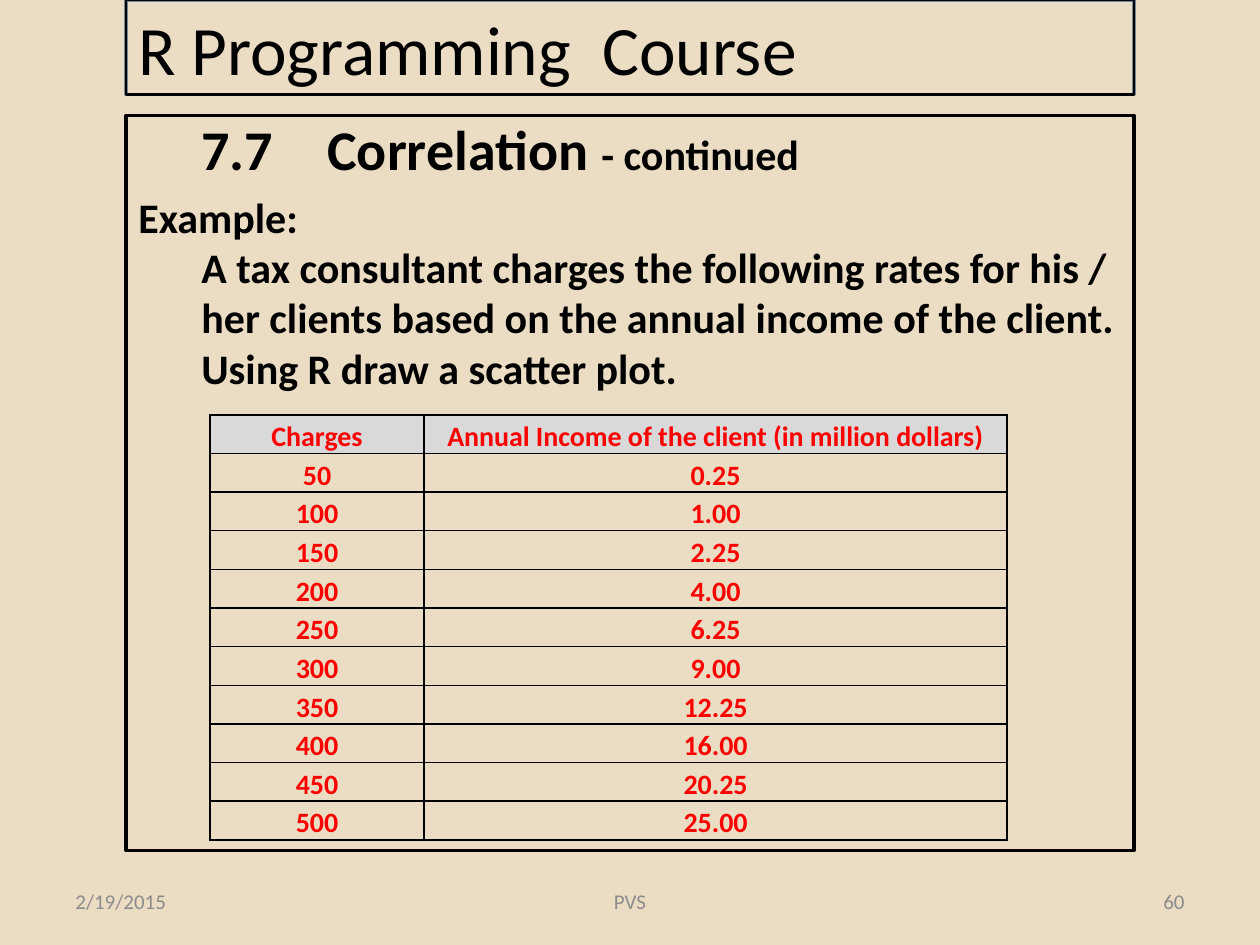
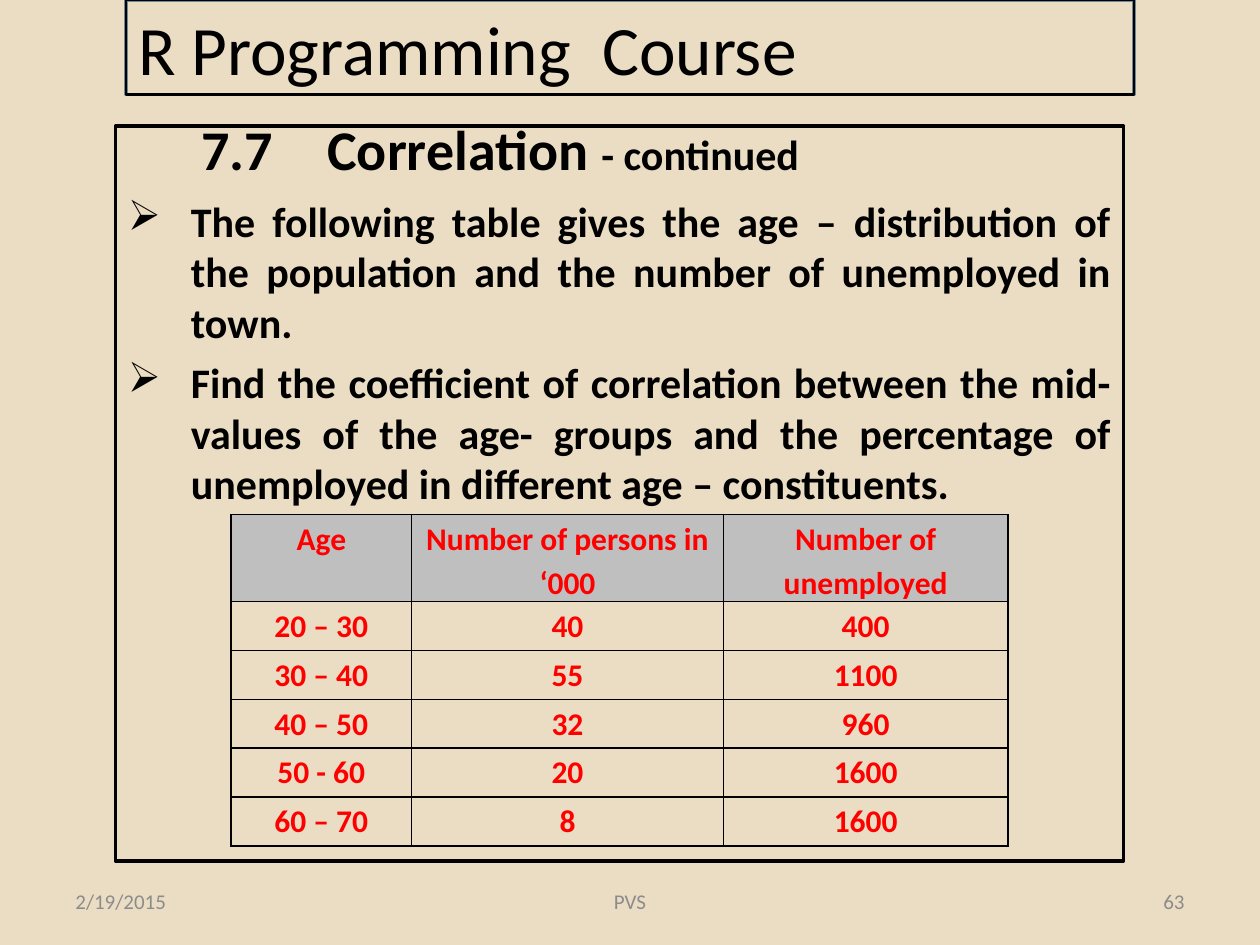
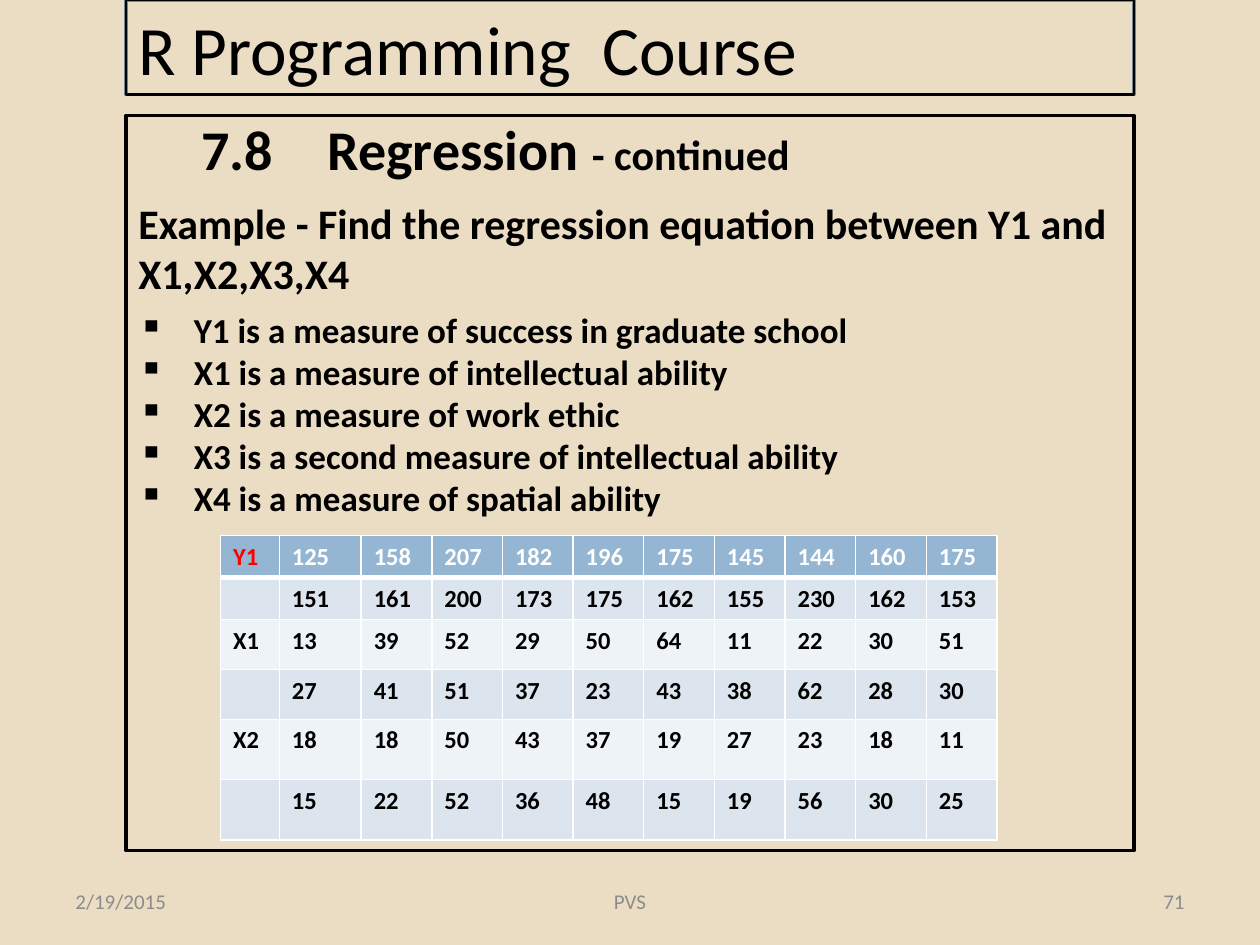
from dataclasses import dataclass, replace

from lxml import etree
from pptx import Presentation
from pptx import util as u
from pptx.dml.color import RGBColor
from pptx.enum import shapes, text
from pptx.oxml.ns import qn

COLUMNS, ROWS = 120, 90
CELL = u.Inches(10) / COLUMNS
ALIGN = text.PP_ALIGN
MIDDLE = text.MSO_ANCHOR.MIDDLE


@dataclass(frozen=True)
class Theme:
    """Colours and type sizes shared by all slides."""

    font: str = "Calibri"
    paper: str = "EBDDC3"
    ink: str = "000000"
    edge: str = "6D879B"
    muted: str = "8C8C8C"
    accent: str = "FF0000"
    white: str = "FFFFFF"
    light_gray: str = "D9D9D9"
    mid_gray: str = "BFBFBF"
    blue: str = "94B6D2"
    bands: tuple = ("DCE5EE", "EEF3F7")
    title: float = 39.6
    heading: int = 32
    body: int = 24
    points: int = 20
    wide_table: int = 18
    long_table: int = 16
    dense_table: int = 14
    footer: int = 12


THEME = Theme()


@dataclass(frozen=True)
class Box:
    """A rectangle in grid columns and rows."""

    left: float
    top: float
    width: float
    height: float

    def emu(self):
        """Return the rectangle in slide units."""
        return [grid(n) for n in (self.left, self.top, self.width, self.height)]

    def inner(self, left, top, width, height):
        """Return a box placed relative to this one."""
        return Box(self.left + left, self.top + top, width, height)


SLIDE = Box(0, 0, COLUMNS, ROWS)
BANNER = SLIDE.inner(12, 0, 96, 9)
PANEL = SLIDE.inner(12, 11, 96, 70)
HEADING = SLIDE.inner(12, 10.3, 95, 7.7)
FOOTER = SLIDE.inner(6, 83.4, 108, 4.8)


@dataclass(frozen=True)
class Para:
    """One paragraph and its format."""

    runs: tuple
    align: ALIGN = ALIGN.LEFT
    indent: tuple = (0, 0)
    before: float = 0
    after: float = 0
    spacing: float = 1.0
    bullet: str = ""


def grid(count):
    """Turn a count of grid cells into slide units."""
    return u.Emu(round(count * CELL))


def assign(target, **values):
    """Set each format value on the target."""
    for name, value in values.items():
        setattr(target, name, value)


def run(words, size, color=THEME.ink, bold=True):
    """Describe one run of text."""
    return words, size, color, bold


def write(frame, paragraphs):
    """Fill a text frame with paragraphs."""
    for index, para in enumerate(paragraphs):
        line = frame.add_paragraph() if index else frame.paragraphs[0]
        properties = line._p.get_or_add_pPr()
        margin, first = para.indent
        properties.set("marL", str(u.Inches(margin)))
        properties.set("indent", str(u.Inches(first)))
        if para.bullet:
            etree.SubElement(properties, qn("a:buChar"), char=para.bullet)
        assign(line, alignment=para.align, line_spacing=para.spacing,
               space_before=u.Pt(para.before if index else 0),
               space_after=u.Pt(para.after))
        for words, size, color, bold in para.runs:
            if not words:
                etree.SubElement(line._p, qn("a:endParaRPr"), sz=str(size * 100))
                continue
            piece = line.add_run()
            piece.text = words
            assign(piece.font, name=THEME.font, size=u.Pt(size), bold=bold)
            piece.font.color.rgb = RGBColor.from_string(color)


def outline(slide, box, color, weight):
    """Draw an unfilled rectangle."""
    frame = slide.shapes.add_shape(shapes.MSO_SHAPE.RECTANGLE, *box.emu())
    frame.shadow.inherit = False
    frame.fill.background()
    frame.line.color.rgb = RGBColor.from_string(color)
    frame.line.width = u.Pt(weight)
    return frame


def words_in(slide, box, paragraphs, **values):
    """Place a wrapping text box."""
    frame = slide.shapes.add_textbox(*box.emu()).text_frame
    assign(frame, word_wrap=True, **values)
    write(frame, paragraphs)


def growing(slide, box, paragraphs, **values):
    """Place a text box that fits its text."""
    words_in(slide, box, paragraphs,
             auto_size=text.MSO_AUTO_SIZE.SHAPE_TO_FIT_TEXT, **values)


def banner(slide, box):
    """Draw the course title in its double frame."""
    outline(slide, box, THEME.edge, 2)
    frame = outline(slide, box, THEME.ink, 1.5).text_frame
    assign(frame, word_wrap=True, vertical_anchor=MIDDLE)
    write(frame, [Para((run("R Programming  Course", THEME.title, bold=False),))])


def footer(slide, box, number):
    """Place date, author and slide number."""
    labels = [("2/19/2015", 0, 28, ALIGN.LEFT), ("PVS", 35, 38, ALIGN.CENTER),
              (number, 80, 28, ALIGN.RIGHT)]
    for words, left, width, align in labels:
        label = run(words, THEME.footer, THEME.muted, False)
        words_in(slide, box.inner(left, 0, width, box.height),
                 [Para((label,), align)], vertical_anchor=MIDDLE)


def heading(slide, box, section, topic):
    """Write the numbered section heading."""
    growing(slide, box, [Para((run(f"{section}\t{topic} ", THEME.heading),
                               run("- continued", THEME.body)), indent=(0.5, 0))])


def base_slide(deck, number, section, topic, panel=PANEL):
    """Add a slide with everything the slides share."""
    slide = deck.slides.add_slide(deck.slide_layouts[6])
    slide.background.fill.solid()
    slide.background.fill.fore_color.rgb = RGBColor.from_string(THEME.paper)
    outline(slide, panel, THEME.ink, 2)
    footer(slide, FOOTER, number)
    heading(slide, HEADING, section, topic)
    banner(slide, BANNER)
    return slide


def borders(cell, color, weights):
    """Draw the four edges of a cell."""
    properties = cell._tc.get_or_add_tcPr()
    for index, (side, weight) in enumerate(zip("LRTB", weights)):
        edge = etree.Element(qn(f"a:ln{side}"), w=str(u.Pt(weight)))
        fill = etree.SubElement(edge, qn("a:solidFill"))
        etree.SubElement(fill, qn("a:srgbClr"), val=color)
        properties.insert(index, edge)


def data_table(slide, box, widths, heights, rows, style):
    """Build a table, asking style for the look of each cell."""
    table = slide.shapes.add_table(len(rows), len(widths), *box.emu()).table
    assign(table, first_row=False, horz_banding=False)
    for column, width in zip(table.columns, widths):
        column.width = grid(width)
    for row, height in zip(table.rows, heights):
        row.height = grid(height)
    for r, values in enumerate(rows):
        for c, value in enumerate(values):
            cell = table.cell(r, c)
            look = style(r, c)
            if look["fill"]:
                cell.fill.solid()
                cell.fill.fore_color.rgb = RGBColor.from_string(look["fill"])
            else:
                cell.fill.background()
            assign(cell, **look["margins"])
            borders(cell, look["edge"], look["weights"])
            label = run(value, look["size"], look["color"])
            write(cell.text_frame, [replace(look["para"], runs=(label,))])


def ruled(size, header_fill):
    """Return the look of a black-ruled table with red figures."""
    side = u.Inches(0.07)
    margins = dict(margin_left=side, margin_right=side, margin_top=0, margin_bottom=0)

    def style(r, c):
        """Describe one ruled cell."""
        return dict(fill=None if r else header_fill, margins=margins,
                    edge=THEME.ink, weights=(1, 1, 1, 1), size=size,
                    color=THEME.accent, para=Para((), ALIGN.CENTER, spacing=1.15))

    return style


def banded(r, c):
    """Describe one cell of the blue banded table."""
    header_color = THEME.white if c else THEME.accent
    return dict(fill=THEME.bands[(r - 1) % 2] if r else THEME.blue, margins={},
                edge=THEME.white, weights=(1, 1, 3 if r == 1 else 1, 1 if r else 3),
                size=THEME.dense_table, color=THEME.ink if r else header_color,
                para=Para(()))


def charges_slide(deck):
    """Build the tax consultant example."""
    slide = base_slide(deck, "60", "7.7", "Correlation")
    task = ("\tA tax consultant charges the following rates for his / her clients "
            "based on the annual income of the client. Using R draw a scatter plot.")
    growing(slide, PANEL.inner(0, 6.5, 96, 20.6),
            [Para((run(words, THEME.body),), indent=(0.5, -0.5))
             for words in ("Example:", task)], vertical_anchor=MIDDLE)
    rows = [("Charges", "Annual Income of the client (in million dollars)")]
    rows += [(str(charge), f"{(charge / 100) ** 2:.2f}")
             for charge in range(50, 501, 50)]
    box = PANEL.inner(8, 28.5, 76, 40.5)
    data_table(slide, box, (20.4, 55.5), [box.height / len(rows)] * len(rows),
               rows, ruled(THEME.long_table, THEME.light_gray))


def unemployment_slide(deck):
    """Build the age distribution exercise."""
    panel = PANEL.inner(-1, 1, PANEL.width, PANEL.height)
    slide = base_slide(deck, "63", "7.7", "Correlation", panel)
    tasks = ("The following table gives the age – distribution of the population "
             "and the number of unemployed in town.",
             "Find the coefficient of correlation between the mid-values of the "
             "age- groups and the percentage of unemployed in different age – "
             "constituents.")
    growing(slide, panel.inner(0, 6, 96, 31.3),
            [Para((run(task, THEME.body),), ALIGN.JUSTIFY, (0.5, -0.5), 3, 3,
                  bullet="➢") for task in tasks])
    rows = [("Age", "Number of persons in ‘000", "Number of unemployed"),
            ("20 – 30", "40", "400"), ("30 – 40", "55", "1100"),
            ("40 – 50", "32", "960"), ("50 - 60", "20", "1600"),
            ("60 – 70", "8", "1600")]
    data_table(slide, panel.inner(11, 37, 74, 31.6), (17.2, 29.7, 27.1),
               [8.28] + [4.66] * 5, rows, ruled(THEME.wide_table, THEME.mid_gray))


def regression_slide(deck):
    """Build the regression example."""
    slide = base_slide(deck, "71", "7.8", "Regression")
    question = "Example - Find the regression equation between Y1 and X1,X2,X3,X4"
    measures = {"Y1": "a measure of success in graduate school",
                "X1": "a measure of intellectual ability",
                "X2": "a measure of work ethic",
                "X3": "a second measure of intellectual ability",
                "X4": "a measure of spatial ability"}
    paragraphs = [Para((run(question, THEME.body),), after=6)]
    paragraphs += [Para((run(f"{name} is {meaning}", THEME.points),),
                        indent=(0.44, -0.44), bullet="▪")
                   for name, meaning in measures.items()]
    growing(slide, PANEL.inner(0, 7, 95, 32.2), paragraphs, vertical_anchor=MIDDLE)
    samples = [("Y1", "125 158 207 182 196 175 145 144 160 175"),
               ("", "151 161 200 173 175 162 155 230 162 153"),
               ("X1", "13 39 52 29 50 64 11 22 30 51"),
               ("", "27 41 51 37 23 43 38 62 28 30"),
               ("X2", "18 18 50 43 37 19 27 23 18 11"),
               ("", "15 22 52 36 48 15 19 56 30 25")]
    rows = [[name, *values.split()] for name, values in samples]
    data_table(slide, PANEL.inner(9, 40, 74, 29), [5.6, 7.8] + [6.73] * 9,
               (4, 4, 4.75, 4.75, 5.75, 5.75), rows, banded)


def main():
    """Build and save the deck."""
    deck = Presentation()
    assign(deck, slide_width=grid(COLUMNS), slide_height=grid(ROWS))
    for build in (charges_slide, unemployment_slide, regression_slide):
        build(deck)
    deck.save("out.pptx")


if __name__ == "__main__":
    main()
